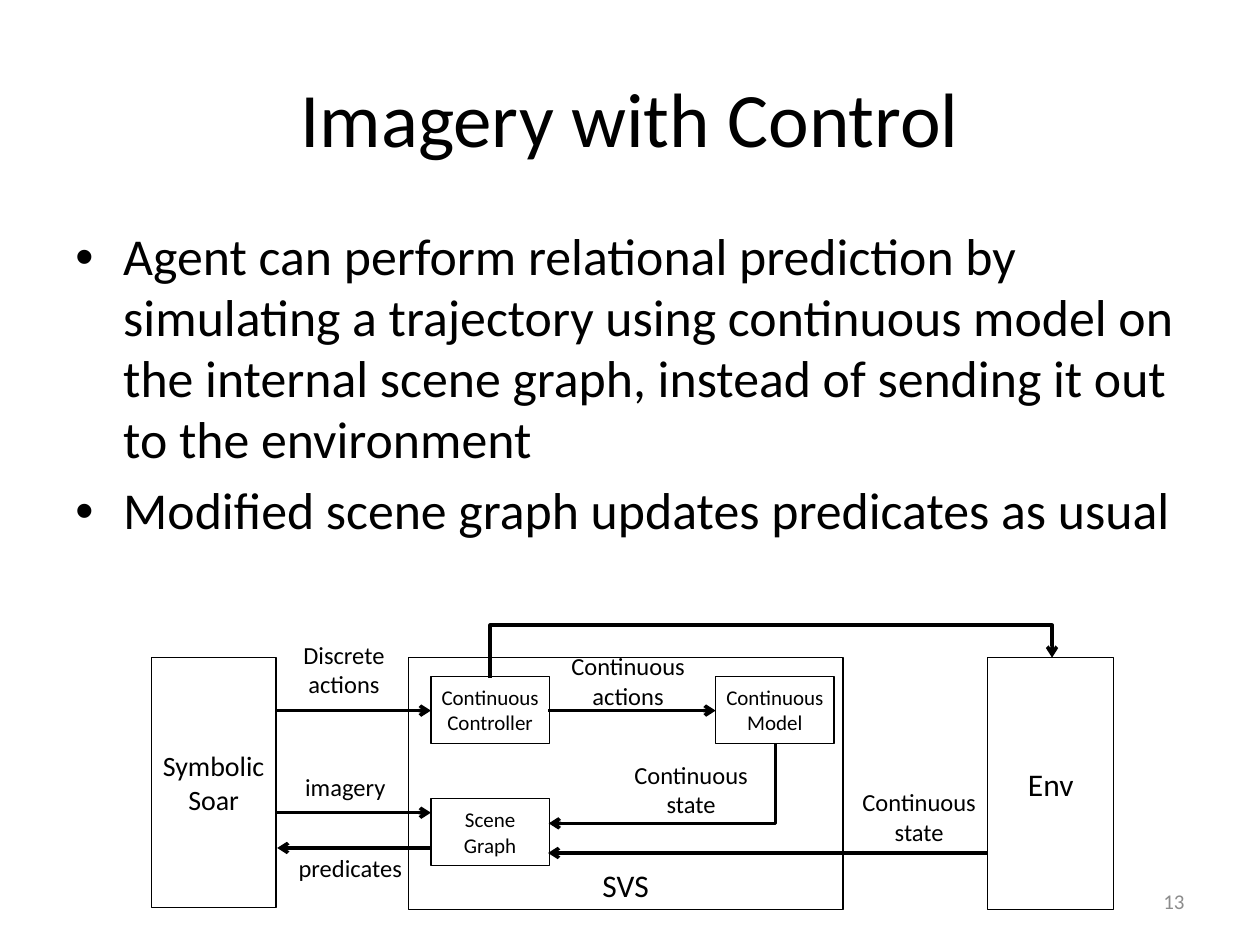
from dataclasses import dataclass

import pptx
import pptx.dml.color
import pptx.enum.shapes
import pptx.enum.text
import pptx.oxml.ns
import pptx.util
from lxml import etree
from pptx.util import Inches

BLACK = pptx.dml.color.RGBColor(0x00, 0x00, 0x00)
GRAY = pptx.dml.color.RGBColor(0x8C, 0x8C, 0x8C)
FONT = "Calibri"
ALIGN = pptx.enum.text.PP_ALIGN
ANCHOR = pptx.enum.text.MSO_ANCHOR
CONNECTOR = pptx.enum.shapes.MSO_CONNECTOR
qn = pptx.oxml.ns.qn


@dataclass
class Box:
    lines: list[str]
    left: float
    top: float
    width: float
    height: float
    size: float
    anchor: ANCHOR = ANCHOR.MIDDLE
    tight: bool = False
    wrap: bool = True


@dataclass
class Label:
    lines: list[str]
    left: float
    top: float
    width: float


@dataclass
class Arrow:
    start: tuple[float, float]
    end: tuple[float, float]


@dataclass
class BentArrow:
    """A preset elbow in its own frame, turned a quarter clockwise."""
    preset: str
    left: float
    top: float
    width: float
    height: float
    flipped: bool = False
    adjustment: int | None = None


BOXES = [
    Box(["Env"], 7.84, 5.22, 1, 2, 18),
    Box(["SVS"], 3.24, 5.22, 3.45, 2, 18, anchor=ANCHOR.BOTTOM),
    Box(["Symbolic", "Soar"], 1.2, 5.22, 0.99, 1.98, 16, tight=True),
] + [
    Box(lines, left, top, 0.94, 0.53, 12, tight=True, wrap=False)
    for lines, left, top in [
        (["Continuous", "Controller"], 3.42, 5.37),
        (["Scene", "Graph"], 3.42, 6.34),
        (["Continuous", "Model"], 5.68, 5.37),
    ]
]
LABELS = [
    Label(["predicates"], 2.24, 6.72, 1.08),
    Label(["Discrete", "actions"], 2.19, 5.03, 1.08),
    Label(["imagery"], 2.2, 6.08, 1.08),
    Label(["Continuous", "state"], 6.62, 6.2, 1.35),
    Label(["Continuous", "actions"], 4.31, 5.12, 1.35),
    Label(["Continuous", "state"], 4.81, 5.98, 1.35),
]
ARROWS = [
    Arrow((7.84, 6.77), (4.35, 6.77)),
    Arrow((3.42, 6.73), (2.2, 6.73)),
    Arrow((2.19, 5.64), (3.42, 5.64)),
    Arrow((2.19, 6.45), (3.42, 6.45)),
    Arrow((4.35, 5.64), (5.68, 5.64)),
]
BENT_ARROWS = [
    BentArrow("bentConnector2", 4.94, 5.32, 0.63, 1.8),
    BentArrow("bentConnector3", 6.04, 3.07, 0.16, 4.46, flipped=True, adjustment=261100),
]
BULLETS = [
    "Agent can perform relational prediction by simulating a trajectory using continuous "
    "model on the internal scene graph, instead of sending it out to the environment",
    "Modified scene graph updates predicates as usual",
]


def write_lines(frame, lines: list[str], size: float, align=ALIGN.CENTER, color=BLACK) -> None:
    for index, line in enumerate(lines):
        paragraph = frame.paragraphs[0] if index == 0 else frame.add_paragraph()
        paragraph.alignment = align
        run = paragraph.add_run()
        run.text = line
        run.font.name = FONT
        run.font.size = pptx.util.Pt(size)
        run.font.color.rgb = color


def add_text(slide, left: float, top: float, width: float, height: float, anchor=ANCHOR.TOP):
    shape = slide.shapes.add_textbox(Inches(left), Inches(top), Inches(width), Inches(height))
    frame = shape.text_frame
    frame.word_wrap = True
    frame.vertical_anchor = anchor
    return frame


def add_bullets(slide) -> None:
    frame = add_text(slide, 0.5, 1.75, 9, 2.81)
    write_lines(frame, BULLETS, 29.6, ALIGN.LEFT)
    for index, paragraph in enumerate(frame.paragraphs):
        paragraph.line_spacing = 0.98
        if index:
            paragraph.space_before = pptx.util.Pt(6)
        properties = paragraph._p.get_or_add_pPr()
        properties.set("marL", str(Inches(0.38)))
        properties.set("indent", str(Inches(-0.38)))
        etree.SubElement(properties, qn("a:buFont"), typeface="Arial")
        etree.SubElement(properties, qn("a:buChar"), char="•")


def add_box(slide, box: Box) -> None:
    shape = slide.shapes.add_shape(
        pptx.enum.shapes.MSO_SHAPE.RECTANGLE,
        Inches(box.left), Inches(box.top), Inches(box.width), Inches(box.height))
    shape.shadow.inherit = False
    shape.fill.background()
    shape.line.color.rgb = BLACK
    shape.line.width = pptx.util.Pt(0.75)
    frame = shape.text_frame
    frame.word_wrap = box.wrap
    frame.vertical_anchor = box.anchor
    if box.tight:
        frame.margin_left = frame.margin_right = frame.margin_top = frame.margin_bottom = 0
    write_lines(frame, box.lines, box.size)


def add_label(slide, label: Label) -> None:
    height = 0.34 if len(label.lines) == 1 else 0.57
    frame = add_text(slide, label.left, label.top, label.width, height)
    frame.auto_size = pptx.enum.text.MSO_AUTO_SIZE.SHAPE_TO_FIT_TEXT
    write_lines(frame, label.lines, 14)


def add_arrow(slide, arrow: Arrow, kind=CONNECTOR.STRAIGHT):
    connector = slide.shapes.add_connector(
        kind, *(Inches(value) for value in arrow.start + arrow.end))
    connector.line.color.rgb = BLACK
    connector.line.width = pptx.util.Pt(2)
    etree.SubElement(connector.line._get_or_add_ln(), qn("a:tailEnd"), type="arrow")
    etree.SubElement(connector._element.spPr, qn("a:effectLst"))
    return connector


def add_bent_arrow(slide, bent: BentArrow) -> None:
    frame = Arrow((bent.left, bent.top), (bent.left + bent.width, bent.top + bent.height))
    properties = add_arrow(slide, frame, CONNECTOR.ELBOW)._element.spPr
    transform = properties.find(qn("a:xfrm"))
    transform.set("rot", str(90 * 60000))
    if bent.flipped:
        transform.set("flipH", "1")
        transform.set("flipV", "1")
    geometry = properties.find(qn("a:prstGeom"))
    geometry.set("prst", bent.preset)
    if bent.adjustment is not None:
        etree.SubElement(geometry.find(qn("a:avLst")), qn("a:gd"),
                         name="adj1", fmla=f"val {bent.adjustment}")


def main() -> None:
    presentation = pptx.Presentation()
    presentation.slide_width = Inches(10)
    presentation.slide_height = Inches(7.5)
    slide = presentation.slides.add_slide(presentation.slide_layouts[6])
    write_lines(add_text(slide, 0.5, 0.3, 9, 1.25, ANCHOR.MIDDLE), ["Imagery with Control"], 44)
    add_bullets(slide)
    write_lines(add_text(slide, 7.17, 6.95, 2.33, 0.4, ANCHOR.MIDDLE), ["13"], 12, ALIGN.RIGHT, GRAY)
    for box in BOXES:
        add_box(slide, box)
    for arrow in ARROWS:
        add_arrow(slide, arrow)
    for bent in BENT_ARROWS:
        add_bent_arrow(slide, bent)
    for label in LABELS:
        add_label(slide, label)
    presentation.save("out.pptx")


if __name__ == "__main__":
    main()
